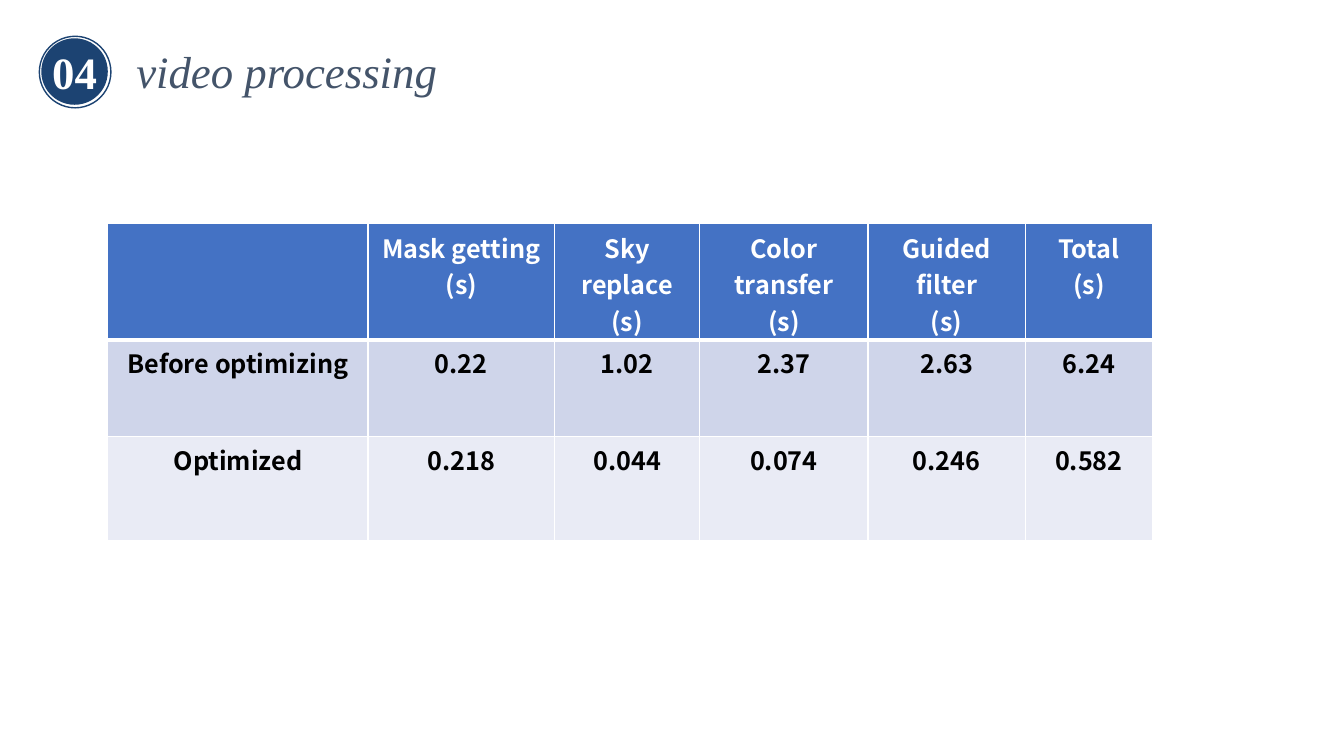
from dataclasses import dataclass

from lxml import etree
from pptx import Presentation
from pptx import util as u
from pptx.dml.color import RGBColor
from pptx.enum import shapes, text
from pptx.oxml import ns

WHITE = RGBColor(0xFF, 0xFF, 0xFF)
BLACK = RGBColor(0, 0, 0)
NAVY = RGBColor(0x1C, 0x43, 0x72)
SLATE = RGBColor(0x44, 0x54, 0x6A)
BLUE = RGBColor(0x44, 0x72, 0xC4)
PALE_BLUE = RGBColor(0xCF, 0xD5, 0xEA)
PALE_GREY = RGBColor(0xE9, 0xEB, 0xF5)
HEADING_FONT = "Times New Roman"
TABLE_FONT = "Noto Sans CJK SC"


@dataclass
class Row:
    height: float
    fill: RGBColor
    color: RGBColor
    texts: list[str]


STEPS = ["Mask getting", "Sky replace", "Color transfer", "Guided filter", "Total"]
COLUMN_WIDTHS = [2.58, 1.85, 1.44, 1.67, 1.56, 1.26]
ROWS = [
    Row(1.15, BLUE, WHITE, [""] + [f"{step}\n(s)" for step in STEPS]),
    Row(0.96, PALE_BLUE, BLACK,
        ["Before optimizing", "0.22", "1.02", "2.37", "2.63", "6.24"]),
    Row(1.03, PALE_GREY, BLACK,
        ["Optimized", "0.218", "0.044", "0.074", "0.246", "0.582"]),
]


def write(frame, content: str, font_name: str, size: float, color: RGBColor,
          bold: bool = False, italic: bool = False) -> None:
    frame.text = content
    for paragraph in frame.paragraphs:
        paragraph.alignment = text.PP_ALIGN.CENTER
        font = paragraph.font
        font.name, font.size, font.color.rgb = font_name, u.Pt(size), color
        font.bold, font.italic = bold, italic


def add_circle(slide, left: float, top: float, diameter: float):
    circle = slide.shapes.add_shape(
        shapes.MSO_SHAPE.OVAL, u.Inches(left), u.Inches(top),
        u.Inches(diameter), u.Inches(diameter))
    circle.shadow.inherit = False
    return circle


def add_badge(slide) -> None:
    ring = add_circle(slide, 0.39, 0.36, 0.71)
    ring.fill.background()
    ring.line.color.rgb = NAVY
    ring.line.width = u.Pt(1)
    disc = add_circle(slide, 0.41, 0.38, 0.66)
    disc.fill.solid()
    disc.fill.fore_color.rgb = NAVY
    disc.line.fill.background()
    number = slide.shapes.add_textbox(
        u.Inches(-0.04), u.Inches(0.39), u.Inches(1.56), u.Inches(0.64))
    number.text_frame.word_wrap = True
    write(number.text_frame, "04", HEADING_FONT, 32, WHITE, bold=True)


def set_title(slide) -> None:
    title = slide.shapes.title
    title.left, title.top = u.Inches(0.79), u.Inches(0.38)
    title.width, title.height = u.Inches(4.11), u.Inches(0.64)
    frame = title.text_frame
    frame.word_wrap = True
    frame.auto_size = text.MSO_AUTO_SIZE.SHAPE_TO_FIT_TEXT
    frame.vertical_anchor = text.MSO_ANCHOR.TOP
    write(frame, "video processing", HEADING_FONT, 32, SLATE, italic=True)


def set_borders(cell, widths: dict[str, float]) -> None:
    """Draw white borders; widths are in points, keyed by side (L, R, T, B)."""
    properties = cell._tc.get_or_add_tcPr()
    for side, width in widths.items():
        line = etree.SubElement(properties, ns.qn(f"a:ln{side}"), w=str(u.Pt(width)))
        fill = etree.SubElement(line, ns.qn("a:solidFill"))
        etree.SubElement(fill, ns.qn("a:srgbClr"), val=str(WHITE))


def add_timing_table(slide) -> None:
    table = slide.shapes.add_table(
        len(ROWS), len(COLUMN_WIDTHS), u.Inches(1.07), u.Inches(2.22),
        u.Inches(sum(COLUMN_WIDTHS)), u.Inches(sum(row.height for row in ROWS))).table
    for column, width in zip(table.columns, COLUMN_WIDTHS):
        column.width = u.Inches(width)
    for index, row in enumerate(ROWS):
        table.rows[index].height = u.Inches(row.height)
        top = 3 if index == 1 else 1
        bottom = 3 if index == 0 else 1
        for cell, content in zip(table.rows[index].cells, row.texts):
            set_borders(cell, {"L": 1, "R": 1, "T": top, "B": bottom})
            cell.fill.solid()
            cell.fill.fore_color.rgb = row.fill
            write(cell.text_frame, content, TABLE_FONT, 18, row.color, bold=True)


def main() -> None:
    presentation = Presentation()
    presentation.slide_width = u.Inches(13.33)
    presentation.slide_height = u.Inches(7.5)
    slide = presentation.slides.add_slide(presentation.slide_layouts[5])
    add_badge(slide)
    add_timing_table(slide)
    set_title(slide)
    presentation.save("out.pptx")


if __name__ == "__main__":
    main()
